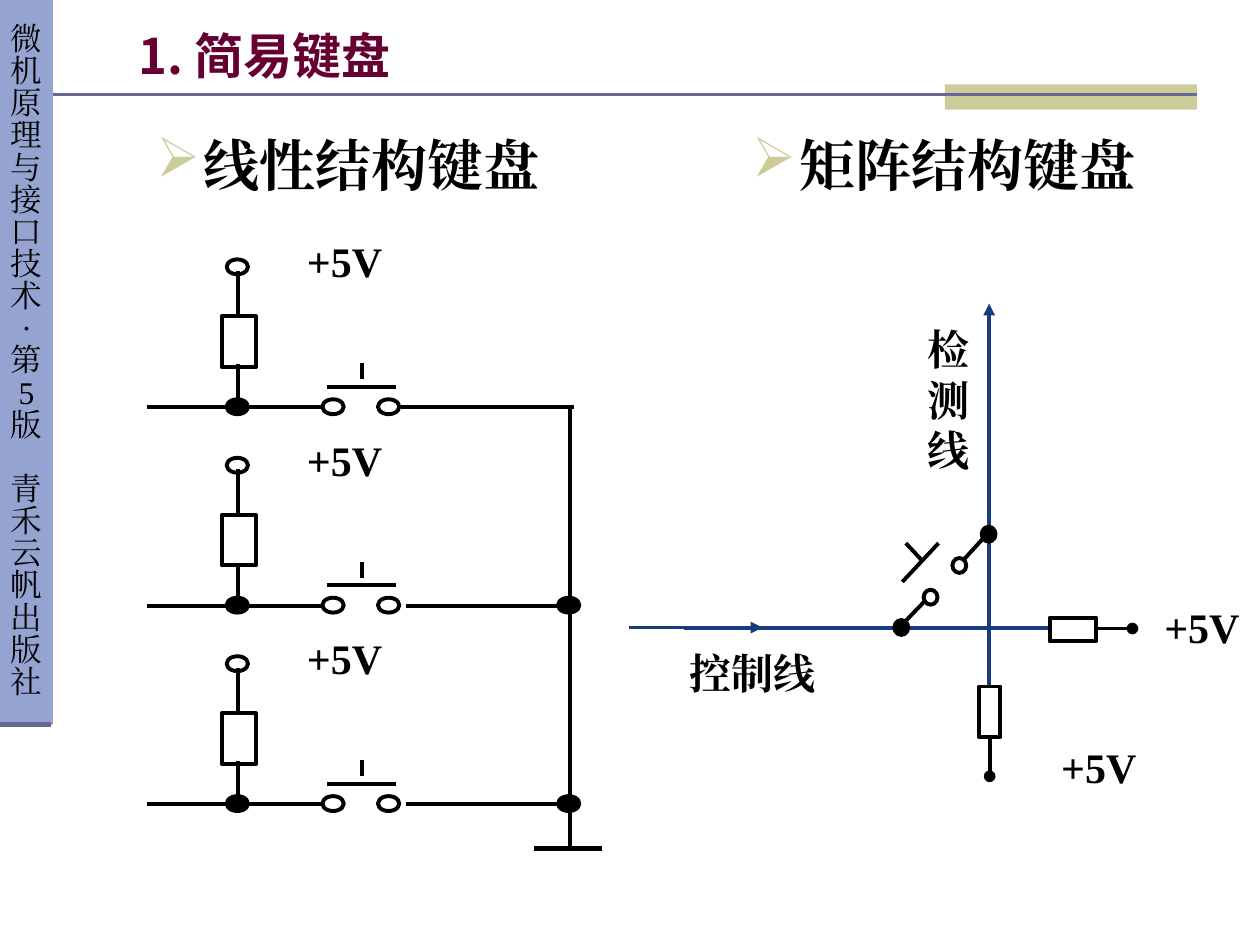
"""Build a slide on simple keypads: a linear circuit and a matrix circuit."""
import dataclasses
import typing

import lxml.etree
import pptx
import pptx.dml.color
import pptx.enum.shapes
import pptx.enum.text
import pptx.oxml.ns
import pptx.util

Cm, Pt = pptx.util.Cm, pptx.util.Pt
KIND = pptx.enum.shapes.MSO_SHAPE
ALIGN = pptx.enum.text.PP_ALIGN
ANCHOR = pptx.enum.text.MSO_ANCHOR
SERIF, SANS = "Times New Roman", "Noto Sans CJK SC"
COLORS = {
    "black": "000000",
    "navy": "193C7D",
    "wine": "660033",
    "side": "95A3D1",
    "rule": "666699",
    "khaki": "CCCC99",
}
ROWS, PITCH, FIRST = 3, 4.0, 8.21
BUS = 11.49


@dataclasses.dataclass
class Wire:
    x1: float
    y1: float
    x2: float
    y2: float
    color: str = "black"
    width: float = 2.25
    tip: str = ""


@dataclasses.dataclass
class Part:
    left: float
    top: float
    width: float
    height: float
    kind: typing.Any = KIND.OVAL
    fill: str = ""
    line: str = "black"


def paint(name: str) -> pptx.dml.color.RGBColor:
    return pptx.dml.color.RGBColor.from_string(COLORS[name])


def add_node(parent, tag: str, **attrs: str):
    return lxml.etree.SubElement(parent, pptx.oxml.ns.qn(tag), attrs)


def draw_wire(slide, wire: Wire) -> None:
    ends = [Cm(v) for v in (wire.x1, wire.y1, wire.x2, wire.y2)]
    shape = slide.shapes.add_connector(pptx.enum.shapes.MSO_CONNECTOR.STRAIGHT, *ends)
    shape.line.color.rgb = paint(wire.color)
    shape.line.width = Pt(wire.width)
    if wire.tip:
        add_node(shape.line._get_or_add_ln(), "a:tailEnd", type=wire.tip)
    add_node(shape._element.spPr, "a:effectLst")


def draw_part(slide, part: Part):
    place = [Cm(v) for v in (part.left, part.top, part.width, part.height)]
    shape = slide.shapes.add_shape(part.kind, *place)
    shape.shadow.inherit = False
    if part.fill:
        shape.fill.solid()
        shape.fill.fore_color.rgb = paint(part.fill)
    else:
        shape.fill.background()
    if part.line:
        shape.line.color.rgb = paint(part.line)
        shape.line.width = Pt(2.25)
    else:
        shape.line.fill.background()
    return shape


def write(frame, text: str, size: float = 24, font: str = SERIF, color: str = "black",
          bold: bool = True, align=ALIGN.CENTER, inset: float | None = 0.03,
          anchor=ANCHOR.TOP, wrap: bool = True, lead: float | None = None,
          bullet: str = "") -> None:
    frame.word_wrap = wrap
    frame.vertical_anchor = anchor
    if inset is not None:
        frame.margin_left = frame.margin_right = Cm(inset)
        frame.margin_top = frame.margin_bottom = Cm(inset)
    for i, line in enumerate(text.split("\n")):
        para = frame.paragraphs[0] if i == 0 else frame.add_paragraph()
        para.alignment = align
        if lead:
            para.line_spacing = lead
        if bullet:
            props = para._p.get_or_add_pPr()
            props.set("marL", str(Cm(0.95)))
            props.set("indent", str(-Cm(0.95)))
            add_node(add_node(props, "a:buClr"), "a:srgbClr", val=COLORS["khaki"])
            add_node(props, "a:buChar", char=bullet)
        run = para.add_run()
        run.text = line
        run.font.size, run.font.bold, run.font.name = Pt(size), bold, font
        run.font.color.rgb = paint(color)
        add_node(run._r.get_or_add_rPr(), "a:ea", typeface=font)


def add_text(slide, text: str, left: float, top: float, width: float,
             height: float, **format) -> None:
    box = slide.shapes.add_textbox(Cm(left), Cm(top), Cm(width), Cm(height))
    write(box.text_frame, text, **format)


def draw_frame(slide) -> None:
    side = draw_part(slide, Part(0, 0, 1.07, 14.61, KIND.RECTANGLE, "side", ""))
    frame = side.text_frame
    first, second = "微机原理与接口技术·第5版", "青禾云帆出版社"
    write(frame, "\n".join(first + second), size=18, bold=False, inset=0,
          anchor=ANCHOR.MIDDLE, wrap=False, lead=0.85)
    frame.paragraphs[len(first)].space_before = Pt(18.3)
    draw_part(slide, Part(19.05, 1.7, 5.08, 0.51, KIND.RECTANGLE, "khaki", ""))
    draw_wire(slide, Wire(1.07, 1.9, 24.13, 1.9, "rule", 1.5))
    draw_wire(slide, Wire(0, 14.61, 1.02, 14.61, "rule", 3))
    title = slide.shapes.title
    title.left, title.top, title.width, title.height = Cm(2.54), Cm(0.43), Cm(21.59), Cm(1.35)
    write(title.text_frame, "1. 简易键盘", size=28, font=SANS, color="wine",
          align=ALIGN.LEFT, inset=None, anchor=ANCHOR.MIDDLE)
    for left, text in ((2.9, "线性结构键盘"), (14.91, "矩阵结构键盘")):
        add_text(slide, text, left, 2.51, 8.41, 1.8, size=32,
                 align=ALIGN.JUSTIFY, inset=None, bullet="➢")


def draw_row(slide, y: float, top: bool) -> None:
    start, end = (8.08, 11.58) if top else (8.18, 11.5)
    for wire in (
        Wire(2.97, y, 6.5, y),
        Wire(start, y, end, y),
        Wire(6.6, y - 0.41, 7.98, y - 0.41),
        Wire(7.29, y - 0.56, 7.29, y - 0.89),
        Wire(4.8, y, 4.8, y - 0.87),
        Wire(4.8, y - 1.81, 4.8, y - 2.75),
    ):
        draw_wire(slide, wire)
    draw_part(slide, Part(4.47, y - 1.83, 0.69, 1.02, KIND.RECTANGLE))
    for left, rise in ((4.57, 2.98), (6.5, 0.16), (7.62, 0.16)):
        draw_part(slide, Part(left, y - rise, 0.43, 0.3))
    for left in (4.57,) if top else (4.57, 11.25):
        draw_part(slide, Part(left, y - 0.16, 0.43, 0.3, fill="black"))
    add_text(slide, "+5V", 5.13, y - 3.49, 3.63, 1.5)


def draw_linear(slide) -> None:
    draw_wire(slide, Wire(BUS, FIRST, BUS, 17.1))
    draw_wire(slide, Wire(10.77, 17.1, 12.14, 17.1, width=3))
    for row in range(ROWS):
        draw_row(slide, FIRST + row * PITCH, row == 0)


def draw_matrix(slide) -> None:
    for wire in (
        Wire(19.94, 13.84, 19.94, 6.12, "navy", tip="triangle"),
        Wire(13.79, 12.66, 21.13, 12.66, "navy"),
        Wire(12.67, 12.65, 15.37, 12.65, "navy", tip="triangle"),
        Wire(18.19, 11.73, 18.92, 10.95),
        Wire(18.57, 11.28, 18.26, 10.95),
        Wire(19.43, 11.28, 19.94, 10.72),
        Wire(18.11, 12.67, 18.64, 12.12),
        Wire(19.95, 14.86, 19.95, 15.65, tip="oval"),
        Wire(22.1, 12.67, 22.83, 12.67, tip="oval"),
    ):
        draw_wire(slide, wire)
    for left, top, fill in ((19.79, 10.62, "black"), (18.03, 12.5, "black"),
                            (19.2, 11.25, ""), (18.62, 11.89, "")):
        draw_part(slide, Part(left, top, 0.28, 0.3, fill=fill))
    draw_part(slide, Part(19.74, 13.84, 0.43, 1.02, KIND.RECTANGLE))
    draw_part(slide, Part(21.16, 12.45, 0.94, 0.48, KIND.RECTANGLE))
    add_text(slide, "+5V", 20.98, 14.91, 2.34, 1.42)
    add_text(slide, "+5V", 23.06, 12.09, 2.34, 1.42)
    add_text(slide, "控制线", 13.39, 13.03, 3.56, 1.42)
    add_text(slide, "检\n测\n线", 18.24, 6.5, 1.75, 3.48)


def main() -> None:
    deck = pptx.Presentation()
    deck.slide_width, deck.slide_height = Cm(25.4), Cm(19.05)
    slide = deck.slides.add_slide(deck.slide_layouts[5])
    draw_frame(slide)
    draw_linear(slide)
    draw_matrix(slide)
    deck.save("out.pptx")


if __name__ == "__main__":
    main()
